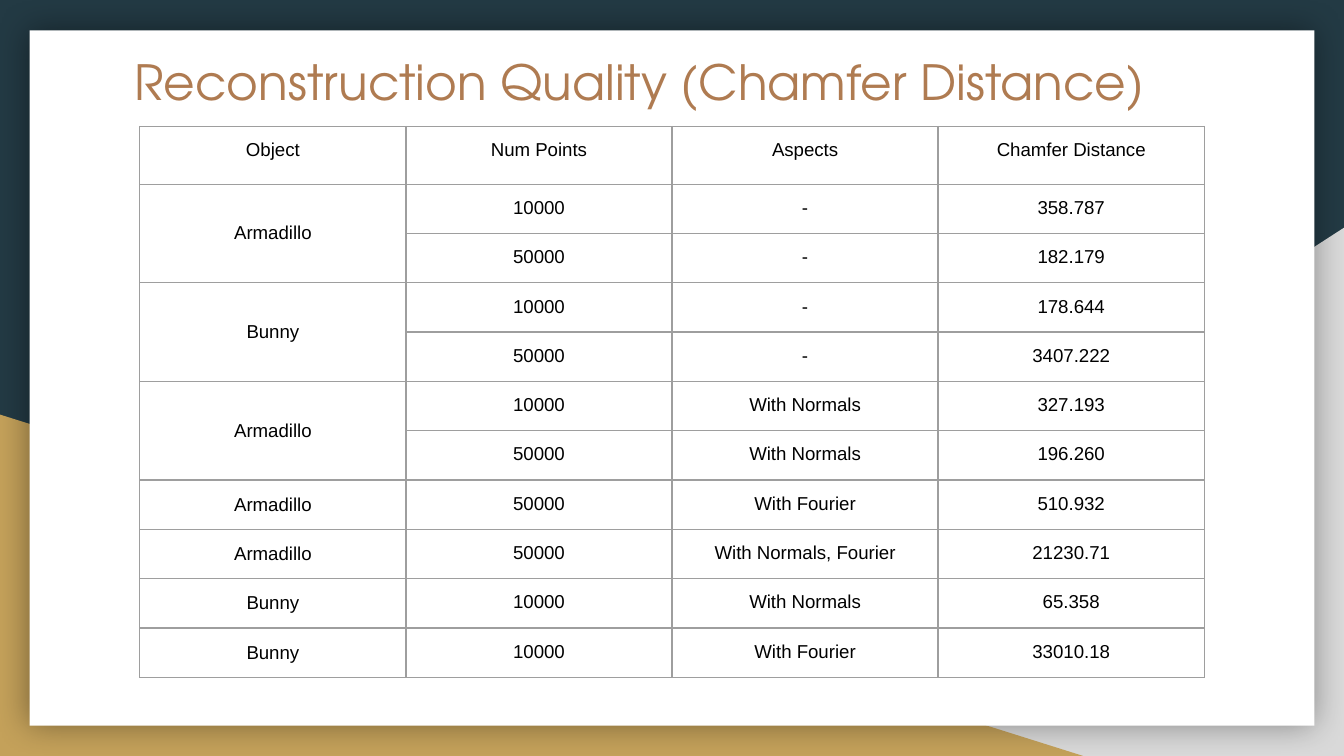
from dataclasses import dataclass

from lxml.etree import SubElement
from pptx import Presentation
from pptx.dml.color import RGBColor
from pptx.enum.shapes import MSO_SHAPE as Preset
from pptx.enum.text import MSO_ANCHOR as Anchor, MSO_AUTO_SIZE as AutoSize, PP_ALIGN as Align
from pptx.oxml import parse_xml
from pptx.oxml.ns import nsdecls, qn
from pptx.util import Inches, Pt


@dataclass(frozen=True)
class Theme:
    """Colours, fonts and sizes of the deck."""
    navy: str = "233A44"
    grey: str = "D9D9D9"
    gold: str = "C4A15A"
    paper: str = "FFFFFF"
    copper: str = "AF7B51"
    ink: str = "000000"
    rule: str = "9E9E9E"
    title_font: str = "TeX Gyre Adventor"
    body_font: str = "Arial"
    title_size: float = 26
    body_size: float = 10
    rule_width: float = 0.75
    inset: float = 0.1


THEME = Theme()
WIDTH = 10
HEIGHT = WIDTH * 9 / 16
TITLE = "Reconstruction Quality (Chamfer Distance)"
HEADINGS = ["Object", "Num Points", "Aspects", "Chamfer Distance"]
GROUPS = [
    ("Armadillo", [("10000", "-", "358.787"), ("50000", "-", "182.179")]),
    ("Bunny", [("10000", "-", "178.644"), ("50000", "-", "3407.222")]),
    ("Armadillo", [("10000", "With Normals", "327.193"), ("50000", "With Normals", "196.260")]),
    ("Armadillo", [("50000", "With Fourier", "510.932")]),
    ("Armadillo", [("50000", "With Normals, Fourier", "21230.71")]),
    ("Bunny", [("10000", "With Normals", "65.358")]),
    ("Bunny", [("10000", "With Fourier", "33010.18")]),
]


def add_panel(page, preset, box, color):
    """Add a plain filled shape in the box and return it."""
    panel = page.shapes.add_shape(preset, *map(Inches, box))
    panel.shadow.inherit = False
    panel.fill.solid()
    panel.fill.fore_color.rgb = RGBColor.from_string(color)
    panel.line.fill.background()
    return panel


def add_backdrop(page, box):
    """Fill the box with two corner triangles and a shadowed sheet."""
    left, top, width, height = box
    right, bottom = left + width, top + height
    grey_width, grey_height = 6.08, 3.93
    gold_width, gold_height = 8.06, 2.54
    corner = add_panel(page, Preset.RIGHT_TRIANGLE,
                       (right - grey_width, bottom - grey_height, grey_width, grey_height),
                       THEME.grey)
    corner._element.spPr.find(qn("a:xfrm")).set("flipH", "1")
    add_panel(page, Preset.RIGHT_TRIANGLE,
              (left, bottom - gold_height, gold_width, gold_height), THEME.gold)
    side, edge = 0.22, 0.04 * height
    sheet = add_panel(page, Preset.RECTANGLE,
                      (left + side, top + edge, width - 2 * side, height - 2 * edge),
                      THEME.paper)
    effects = sheet._element.spPr.find(qn("a:effectLst"))
    effects.append(parse_xml(
        f'<a:outerShdw {nsdecls("a")} blurRad="{Pt(18)}" dist="0" dir="0" algn="ctr" '
        f'rotWithShape="0"><a:srgbClr val="{THEME.ink}"><a:alpha val="40000"/>'
        '</a:srgbClr></a:outerShdw>'))


def set_insets(holder):
    """Give a text frame or cell equal margins."""
    for side in ("left", "top", "right", "bottom"):
        setattr(holder, f"margin_{side}", Inches(THEME.inset))


def write(para, text, align, font, size, color):
    """Add one formatted run to a paragraph."""
    para.alignment = align
    span = para.add_run()
    span.text = text
    span.font.name = font
    span.font.size = Pt(size)
    span.font.color.rgb = RGBColor.from_string(color)


def place_title(page, box):
    """Move the title placeholder into the box, above the backdrop."""
    title = page.shapes.title
    page.shapes._spTree.append(title._element)
    title.left, title.top, title.width, title.height = map(Inches, box)
    frame = title.text_frame
    set_insets(frame)
    frame.word_wrap = True
    frame.auto_size = AutoSize.NONE
    frame.vertical_anchor = Anchor.TOP
    write(frame.paragraphs[0], TITLE, Align.LEFT,
          THEME.title_font, THEME.title_size, THEME.copper)


def add_borders(cell):
    """Rule all four sides of a cell."""
    properties = cell._tc.get_or_add_tcPr()
    for index, side in enumerate(("lnL", "lnR", "lnT", "lnB")):
        line = parse_xml(
            f'<a:{side} {nsdecls("a")} w="{Pt(THEME.rule_width)}"/>')
        fill = SubElement(line, qn("a:solidFill"))
        SubElement(fill, qn("a:srgbClr")).set("val", THEME.rule)
        properties.insert(index, line)


def fill_cell(cell, text, anchor=Anchor.TOP):
    """Write centred body text in a cell."""
    cell.vertical_anchor = anchor
    write(cell.text_frame.paragraphs[0], text, Align.CENTER,
          THEME.body_font, THEME.body_size, THEME.ink)


def add_results(page, box, header_height):
    """Build the results table, merging the object cell of each group."""
    row_count = 1 + sum(len(rows) for _, rows in GROUPS)
    table = page.shapes.add_table(row_count, len(HEADINGS), *map(Inches, box)).table
    table.first_row = table.horz_banding = False
    for column in table.columns:
        column.width = Inches(box[2] / len(HEADINGS))
    for row in table.rows:
        row.height = Inches((box[3] - header_height) / (row_count - 1))
    table.rows[0].height = Inches(header_height)
    for cell in table.iter_cells():
        set_insets(cell)
        cell.fill.background()
        add_borders(cell)
    for index, heading in enumerate(HEADINGS):
        fill_cell(table.cell(0, index), heading)
    start = 1
    for name, rows in GROUPS:
        end = start + len(rows) - 1
        if end > start:
            table.cell(start, 0).merge(table.cell(end, 0))
        fill_cell(table.cell(start, 0), name, Anchor.MIDDLE)
        for row_index, values in enumerate(rows, start):
            for column_index, value in enumerate(values, 1):
                fill_cell(table.cell(row_index, column_index), value)
        start = end + 1


def main():
    """Build and save the deck."""
    deck = Presentation()
    deck.slide_width, deck.slide_height = Inches(WIDTH), Inches(HEIGHT)
    page = deck.slides.add_slide(deck.slide_layouts.get_by_name("Title Only"))
    page.background.fill.solid()
    page.background.fill.fore_color.rgb = RGBColor.from_string(THEME.navy)
    add_backdrop(page, (0, 0, WIDTH, HEIGHT))
    place_title(page, (0.9, 0.29, 8.21, 0.67))
    add_results(page, (1.04, 0.94, 7.92, 4.1), header_height=0.43)
    deck.save("out.pptx")


if __name__ == "__main__":
    main()
